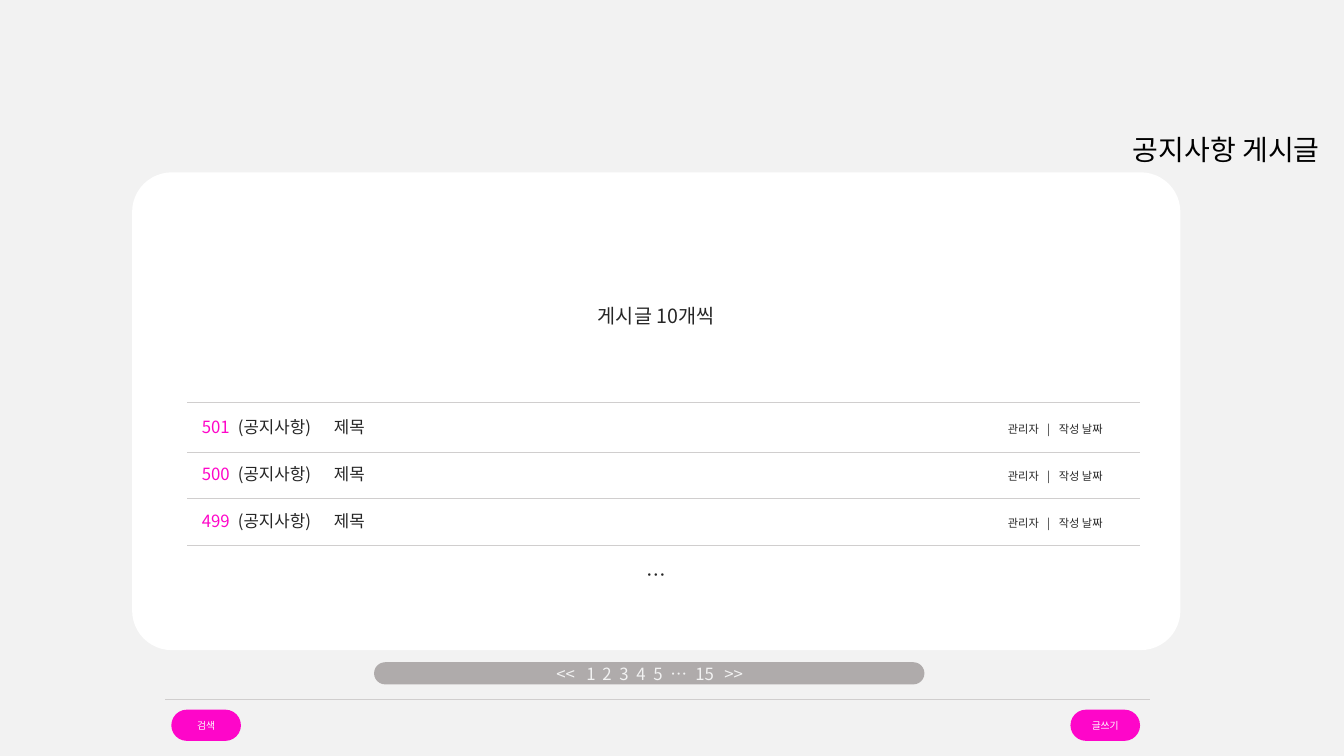
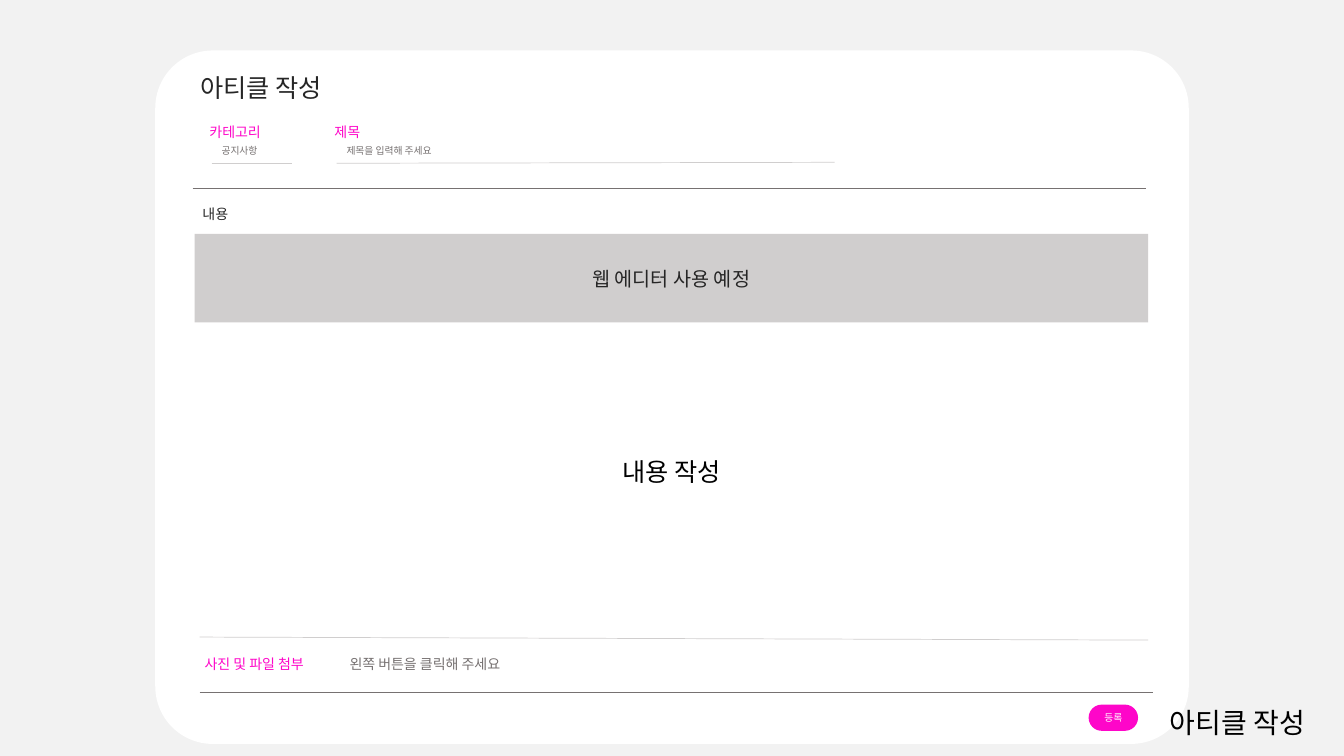
"""Build two wireframe slides of a notice board: the list and the article form."""
import pptx
import pptx.dml.color
import pptx.enum.shapes
import pptx.enum.text
import pptx.oxml.ns
import pptx.util
from lxml import etree

RGBColor = pptx.dml.color.RGBColor
PAPER = RGBColor(0xF2, 0xF2, 0xF2)
WHITE = RGBColor(0xFF, 0xFF, 0xFF)
BLACK = RGBColor(0x00, 0x00, 0x00)
INK = RGBColor(0x26, 0x26, 0x26)
PINK = RGBColor(0xFE, 0x06, 0xC9)
PALE = RGBColor(0xD0, 0xCE, 0xCE)
GRAY = RGBColor(0xAF, 0xAB, 0xAB)
DARK = RGBColor(0x76, 0x71, 0x71)
FONT = "Noto Sans CJK KR"
WIDE = pptx.util.Inches(13.33)
HIGH = pptx.util.Inches(7.5)
SHAPE = pptx.enum.shapes.MSO_SHAPE
ALIGN = pptx.enum.text.PP_ALIGN
MIDDLE = pptx.enum.text.MSO_ANCHOR.MIDDLE
TOP = pptx.enum.text.MSO_ANCHOR.TOP


def across(share):
    return int(WIDE * share / 100)


def down(share):
    return int(HIGH * share / 100)


def add(parent, tag, **marks):
    return etree.SubElement(parent, pptx.oxml.ns.qn(tag), **marks)


def write(frame, text, size=10, color=INK, align=ALIGN.LEFT, anchor=TOP, tabs=()):
    frame.word_wrap = True
    frame.vertical_anchor = anchor
    para = frame.paragraphs[0]
    para.alignment = align
    if tabs:
        stops = add(para._p.get_or_add_pPr(), "a:tabLst")
        for stop in tabs:
            add(stops, "a:tab", pos=str(across(stop)), algn="l")
    run = para.add_run()
    run.text = text
    run.font.size = pptx.util.Pt(size)
    run.font.name = FONT
    run.font.color.rgb = color
    add(run._r.get_or_add_rPr(), "a:ea", typeface=FONT)


class Deck:
    def __init__(self):
        self.show = pptx.Presentation()
        self.show.slide_width = WIDE
        self.show.slide_height = HIGH
        self.slide = None

    def page(self):
        self.slide = self.show.slides.add_slide(self.show.slide_layouts[6])
        fill = self.slide.background.fill
        fill.solid()
        fill.fore_color.rgb = PAPER

    def block(self, x, y, w, h, color, round=0):
        kind = SHAPE.ROUNDED_RECTANGLE if round else SHAPE.RECTANGLE
        shape = self.slide.shapes.add_shape(
            kind, across(x), down(y), across(w), down(h))
        if round:
            shape.adjustments[0] = round
        shape.shadow.inherit = False
        shape.fill.solid()
        shape.fill.fore_color.rgb = color
        shape.line.fill.background()
        return shape.text_frame

    def card(self, x, y, w, h):
        self.block(x, y, w, h, WHITE, round=0.083)

    def button(self, text, x, y, w, h):
        frame = self.block(x, y, w, h, PINK, round=0.5)
        frame.margin_left = frame.margin_right = 0
        write(frame, text, size=7, color=WHITE, align=ALIGN.CENTER, anchor=MIDDLE)

    def label(self, text, x, y, w, h, **style):
        box = self.slide.shapes.add_textbox(across(x), down(y), across(w), down(h))
        write(box.text_frame, text, **style)
        return box.text_frame

    def title(self, text, x, y, w):
        self.label(text, x, y, w, 5.87, size=20, color=BLACK, align=ALIGN.CENTER)

    def rule(self, x, y, end, drop=0, color=PALE):
        line = self.slide.shapes.add_connector(
            pptx.enum.shapes.MSO_CONNECTOR.STRAIGHT,
            across(x), down(y), across(end), down(y + drop))
        line.line.color.rgb = color
        line.line.width = pptx.util.Pt(0.5)
        add(line._element.spPr, "a:effectLst")

    def field(self, name, hint, x, w, end, drop=0):
        self.label(name, x, 15.73, 6.15, 3.6, color=PINK)
        self.rule(x + 0.9, 21.6, end, drop)
        self.label(hint, x + 0.9, 18.53, w, 2.93, size=7, color=DARK)


def board(deck):
    deck.page()
    deck.card(9.83, 22.8, 78, 63.2)
    for text, y in (("게시글 10개씩", 38.8), ("…", 73)):
        deck.label(text, 9.83, y, 78, 6, size=14, align=ALIGN.CENTER, anchor=MIDDLE)
    for row, code in enumerate(("501", "500", "499")):
        frame = deck.label(code, 14.28, 53.2 + 6.2 * row, 71, 6.53, size=12,
                           color=PINK, anchor=MIDDLE,
                           tabs=(2.68, 9.82, 59.97, 62.9, 63.76))
        write(frame, "\t(공지사항)\t제목", size=12, anchor=MIDDLE)
        write(frame, "\t관리자\t|\t작성 날짜", size=8, anchor=MIDDLE)
    for y in (53.2, 59.87, 65.87, 72.13):
        deck.rule(13.95, y, 84.83)
    pager = deck.block(27.83, 87.6, 40.95, 2.93, GRAY, round=0.5)
    pager.margin_left = across(13.32)
    write(pager, "<<\t1\t2\t3\t4\t5\t…\t15\t>>", size=12, color=PAPER,
          anchor=MIDDLE, tabs=(2.23, 3.42, 4.69, 5.95, 7.22, 8.48, 10.34, 12.5))
    deck.rule(12.3, 92.53, 85.58)
    for text, x in (("검색", 12.75), ("글쓰기", 79.65)):
        deck.button(text, x, 93.87, 5.18, 4.13)
    deck.title("공지사항 게시글", 82.65, 16.93, 17.2)


def form(deck):
    deck.page()
    deck.card(11.55, 6.67, 76.9, 91.73)
    deck.label("아티클 작성", 14.18, 8.93, 13.73, 5.33, size=18)
    deck.field("카테고리", "공지사항", 14.85, 7.43, 21.75)
    deck.field("제목", "제목을 입력해 주세요", 24.15, 9.9, 62.1, drop=-0.13)
    deck.rule(14.33, 24.93, 85.28, color=DARK)
    deck.label("내용", 14.33, 26.53, 6.15, 3.6)
    tools = deck.block(14.48, 30.93, 70.95, 11.73, PALE)
    write(tools, "웹 에디터 사용 예정", size=14, align=ALIGN.CENTER, anchor=MIDDLE)
    deck.label("내용 작성", 30.9, 59.73, 38.18, 5.33, size=18, color=BLACK,
               align=ALIGN.CENTER)
    deck.rule(14.85, 84.27, 85.43, drop=0.4)
    files = deck.label("사진 및 파일 첨부", 14.48, 86.13, 70.95, 3.33,
                       color=PINK, anchor=MIDDLE, tabs=(10.79,))
    write(files, "\t왼쪽 버튼을 클릭해 주세요", color=DARK, anchor=MIDDLE)
    deck.rule(14.85, 91.6, 85.8, color=DARK)
    deck.button("등록", 81, 93.2, 3.68, 3.47)
    deck.title("아티클 작성", 85.28, 92.67, 13.58)


def main():
    deck = Deck()
    board(deck)
    form(deck)
    deck.show.save("out.pptx")


if __name__ == "__main__":
    main()
